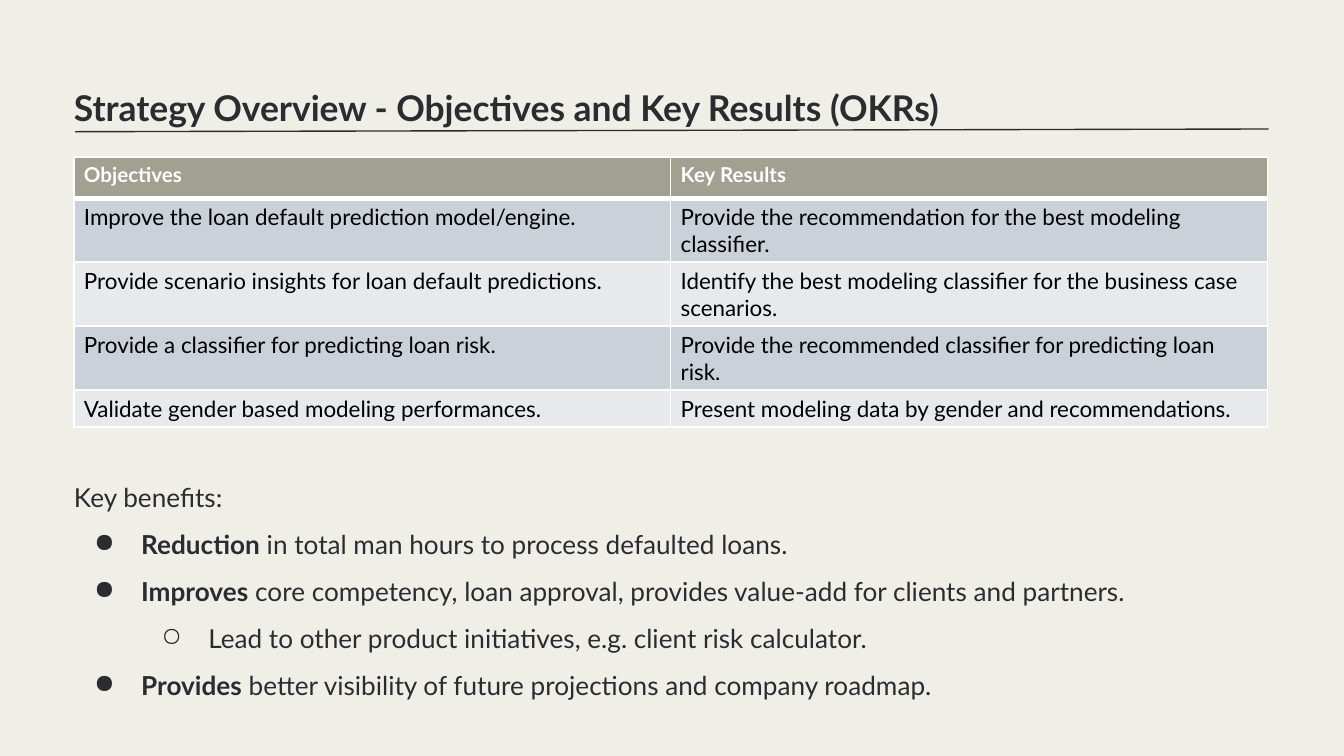
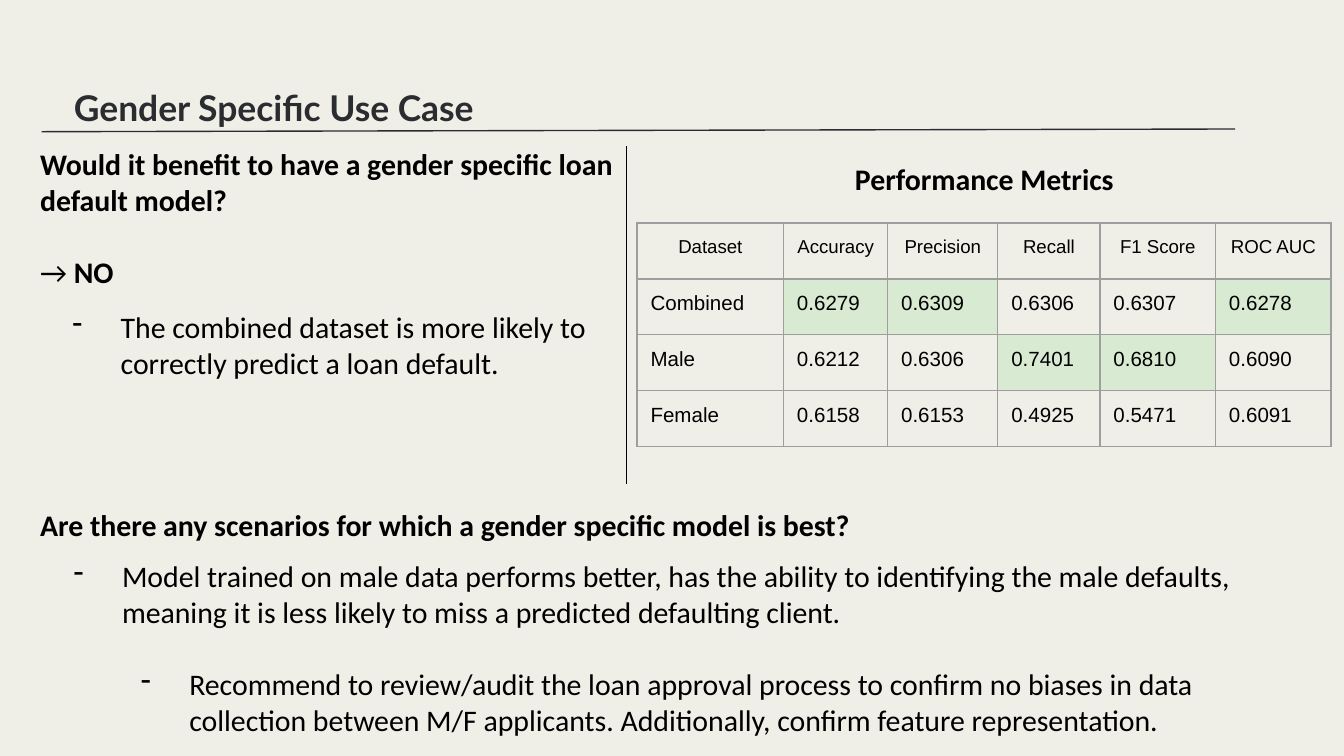
from collections import namedtuple
from dataclasses import dataclass

from lxml import etree
from pptx import Presentation
from pptx import util as u
from pptx.dml.color import RGBColor
from pptx.enum import shapes, text
from pptx.oxml import ns

# Grid of square cells: 100 columns by 56.25 rows
CELL = u.Inches(0.1)
COLUMNS, ROWS = 100, 56.25
Box = namedtuple("Box", "col row cols rows")

PAPER = RGBColor(0xEF, 0xEE, 0xE7)
INK = RGBColor(0x2B, 0x2C, 0x30)
BLACK = RGBColor(0x00, 0x00, 0x00)
WHITE = RGBColor(0xFF, 0xFF, 0xFF)
OLIVE = RGBColor(0xA2, 0xA0, 0x91)
BAND_DARK = RGBColor(0xCA, 0xD1, 0xD8)
BAND_LIGHT = RGBColor(0xE7, 0xE9, 0xEC)
RULE_GREY = RGBColor(0x9E, 0x9E, 0x9E)
BEST_GREEN = RGBColor(0xD9, 0xEA, 0xD3)

LEFT = text.PP_ALIGN.LEFT
CENTER = text.PP_ALIGN.CENTER

OKRS = [
    ("Objectives", "Key Results"),
    ("Improve the loan default prediction model/engine.",
     "Provide the recommendation for the best modeling classifier."),
    ("Provide scenario insights for loan default predictions.",
     "Identify the best modeling classifier for the business case scenarios."),
    ("Provide a classifier for predicting loan risk.",
     "Provide the recommended classifier for predicting loan risk."),
    ("Validate gender based modeling performances.",
     "Present modeling data by gender and recommendations."),
]
METRICS = [
    ("Dataset", "Accuracy", "Precision", "Recall", "F1 Score", "ROC AUC"),
    ("Combined", "0.6279", "0.6309", "0.6306", "0.6307", "0.6278"),
    ("Male", "0.6212", "0.6306", "0.7401", "0.6810", "0.6090"),
    ("Female", "0.6158", "0.6153", "0.4925", "0.5471", "0.6091"),
]


@dataclass
class Style:
    font: str
    size: float
    color: RGBColor
    bold: bool = False
    spacing: float = 1.0
    align: text.PP_ALIGN = LEFT


@dataclass
class Para:
    """A paragraph; lead is an opening run whose weight is the opposite of the rest."""
    body: str
    lead: str = ""
    bullet: str = ""
    level: int = 0
    before: float = 0


TITLE = Style("Lato", 19, INK, bold=True, spacing=1.4)
BENEFITS = Style("Lato", 14, INK, spacing=1.5)
ANSWER = Style("Calibri", 16, BLACK)
QUESTION = Style("Calibri", 16, BLACK, bold=True)
CAPTION = Style("Calibri", 16, BLACK, bold=True, align=CENTER)
OKR_HEAD = Style("Lato", 11, WHITE, bold=True)
OKR_BODY = Style("Lato", 12, BLACK)
METRIC_HEAD = Style("Arial", 10, BLACK, align=CENTER)
METRIC_BODY = Style("Arial", 11, BLACK)
BLANK_LINE = 19.5


def grid(cells):
    return round(cells * CELL)


def apply_style(paragraph, style):
    font = paragraph.font
    font.name, font.size, font.bold = style.font, u.Pt(style.size), style.bold
    font.color.rgb = style.color
    paragraph.alignment = style.align
    paragraph.line_spacing = style.spacing


def add_bullet(paragraph, char, level, hang, style):
    props = paragraph._p.get_or_add_pPr()
    props.set("marL", str(u.Inches(0.5 * (level + 1))))
    props.set("indent", str(-u.Inches(hang)))
    bullet_color = etree.Element(ns.qn("a:buClr"))
    etree.SubElement(bullet_color, ns.qn("a:srgbClr"), val=str(style.color))
    bullet = etree.Element(ns.qn("a:buChar"), char=char)
    # Bullets belong after the spacing and before the default run properties
    defaults = props.find(ns.qn("a:defRPr"))
    defaults.addprevious(bullet_color)
    defaults.addprevious(bullet)
    # A bullet takes its size from the runs, not from the paragraph
    for run in paragraph.runs:
        run.font.size = u.Pt(style.size)


def add_text(slide, box, style, paras, inset=1.0, hang=0.36):
    frame = slide.shapes.add_textbox(*map(grid, box)).text_frame
    frame.word_wrap = True
    frame.vertical_anchor = text.MSO_ANCHOR.TOP
    frame.margin_left = frame.margin_right = grid(inset)
    frame.margin_top = frame.margin_bottom = grid(inset)
    for index, para in enumerate(paras):
        paragraph = frame.add_paragraph() if index else frame.paragraphs[0]
        apply_style(paragraph, style)
        paragraph.level = para.level
        paragraph.space_before = u.Pt(para.before)
        if para.lead:
            lead = paragraph.add_run()
            lead.text = para.lead
            lead.font.bold = not style.bold
        paragraph.add_run().text = para.body
        if para.bullet:
            add_bullet(paragraph, para.bullet, para.level, hang, style)


def add_rule(slide, start, end, color):
    rule = slide.shapes.add_connector(
        shapes.MSO_CONNECTOR.STRAIGHT, *map(grid, start + end))
    rule.line.color.rgb = color
    rule.line.width = u.Pt(0.75)
    etree.SubElement(rule._element.spPr, ns.qn("a:effectLst"))


def add_borders(cell, color, widths):
    """Draws the left, right, top and bottom borders; call before filling the cell."""
    props = cell._tc.get_or_add_tcPr()
    for side, width in zip("LRTB", widths):
        line = etree.SubElement(props, ns.qn(f"a:ln{side}"), w=str(u.Pt(width)))
        fill = etree.SubElement(line, ns.qn("a:solidFill"))
        etree.SubElement(fill, ns.qn("a:srgbClr"), val=str(color))


def add_grid_table(slide, origin, widths, heights, rows, head, body,
                   margins, border, border_widths, fill_for):
    """fill_for(row, col) gives a cell's colour or None; border_widths(row) its edges."""
    table = slide.shapes.add_table(
        len(rows), len(widths),
        *map(grid, origin + (sum(widths), sum(heights)))).table
    table.horz_banding = False
    for column, width in zip(table.columns, widths):
        column.width = grid(width)
    for row, height in zip(table.rows, heights):
        row.height = grid(height)
    for r, values in enumerate(rows):
        for c, value in enumerate(values):
            cell = table.cell(r, c)
            cell.margin_left = cell.margin_right = grid(margins[0])
            cell.margin_top = cell.margin_bottom = grid(margins[1])
            add_borders(cell, border, border_widths(r))
            color = fill_for(r, c)
            if color is None:
                cell.fill.background()
            else:
                cell.fill.solid()
                cell.fill.fore_color.rgb = color
            cell.text = value
            apply_style(cell.text_frame.paragraphs[0], body if r else head)


def add_titled_slide(deck, title, rule_left):
    slide = deck.slides.add_slide(deck.slide_layouts[6])
    slide.background.fill.solid()
    slide.background.fill.fore_color.rgb = PAPER
    add_text(slide, Box(5.5, 5.15, 88.8, 3.2), TITLE, [Para(title)], inset=0)
    add_rule(slide, (rule_left, 9.8), (rule_left + 88.8, 9.6), INK)
    return slide


def okr_table(slide, box):
    def fill_for(row, col):
        if row == 0:
            return OLIVE
        return BAND_DARK if row % 2 else BAND_LIGHT

    def border_widths(row):
        return 1, 1, 3 if row == 1 else 1, 3 if row == 0 else 1

    add_grid_table(slide, (box.col, box.row), [box.cols / 2] * 2,
                   [3.05, 2.5, 2.5, 2.3, 2], OKRS, OKR_HEAD, OKR_BODY,
                   (0.75, 0.38), WHITE, border_widths, fill_for)


def key_benefits(slide, box):
    add_text(slide, box, BENEFITS, [
        Para("Key benefits:"),
        Para(" in total man hours to process defaulted loans.", "Reduction", "●"),
        Para(" core competency, loan approval, provides value-add for clients "
             "and partners.", "Improves", "●"),
        Para("Lead to other product initiatives, e.g. client risk calculator.",
             bullet="○", level=1),
        Para(" better visibility of future projections and company roadmap.",
             "Provides", "●"),
    ], inset=0, hang=0.35)


def benefit_question(slide, box):
    add_text(slide, box._replace(rows=8.9), QUESTION, [
        Para("Would it benefit to have a gender specific loan default model?"),
        Para("NO", "→ ", before=BLANK_LINE),
    ])
    add_text(slide, Box(box.col + 1, box.row + 12.1, box.cols, 15.5), ANSWER, [
        Para("The combined dataset is more likely to correctly predict a loan default.",
             bullet="-"),
    ])


def performance_metrics(slide, box):
    add_text(slide, box._replace(rows=3.2), CAPTION, [Para("Performance Metrics")])
    scores = METRICS[1:]
    best = [max(column) for column in zip(*scores)]

    def fill_for(row, col):
        is_best = row and col and METRICS[row][col] == best[col]
        return BEST_GREEN if is_best else None

    add_grid_table(slide, (box.col, box.row + 5.65),
                   [10.9, 7.75, 8.2, 7.6, 8.6, 8.6], [4.16] * len(METRICS),
                   METRICS, METRIC_HEAD, METRIC_BODY, (1, 1), RULE_GREY,
                   lambda row: [0.75] * 4, fill_for)


def scenario_question(slide, box):
    add_text(slide, box._replace(cols=63.4, rows=4.1), QUESTION, [
        Para("Are there any scenarios for which a gender specific model is best?"),
    ])
    add_text(slide, Box(box.col + 1.1, box.row + 3.8, box.cols - 1.1, 14.6), ANSWER, [
        Para("Model trained on male data performs better, has the ability to "
             "identifying the male defaults, meaning it is less likely to miss a "
             "predicted defaulting client.", bullet="-"),
        Para("Recommend to review/audit the loan approval process to confirm no "
             "biases in data collection between M/F applicants. Additionally, "
             "confirm feature representation.",
             bullet="-", level=1, before=BLANK_LINE),
    ])


def main():
    deck = Presentation()
    deck.slide_width, deck.slide_height = grid(COLUMNS), grid(ROWS)

    strategy = add_titled_slide(
        deck, "Strategy Overview - Objectives and Key Results (OKRs)", 5.6)
    key_benefits(strategy, Box(5.5, 34.65, 88.8, 16.5))
    okr_table(strategy, Box(5.5, 11.7, 88.8, 12.3))

    use_case = add_titled_slide(deck, "Gender Specific Use Case", 3.1)
    scenario_question(use_case, Box(2, 36.7, 95, 18.4))
    benefit_question(use_case, Box(2, 9.85, 45.4, 27.6))
    performance_metrics(use_case, Box(47.4, 10.95, 51.7, 22.4))
    add_rule(use_case, (46.6, 10.9), (46.6, 36), BLACK)

    deck.save("out.pptx")


if __name__ == "__main__":
    main()
